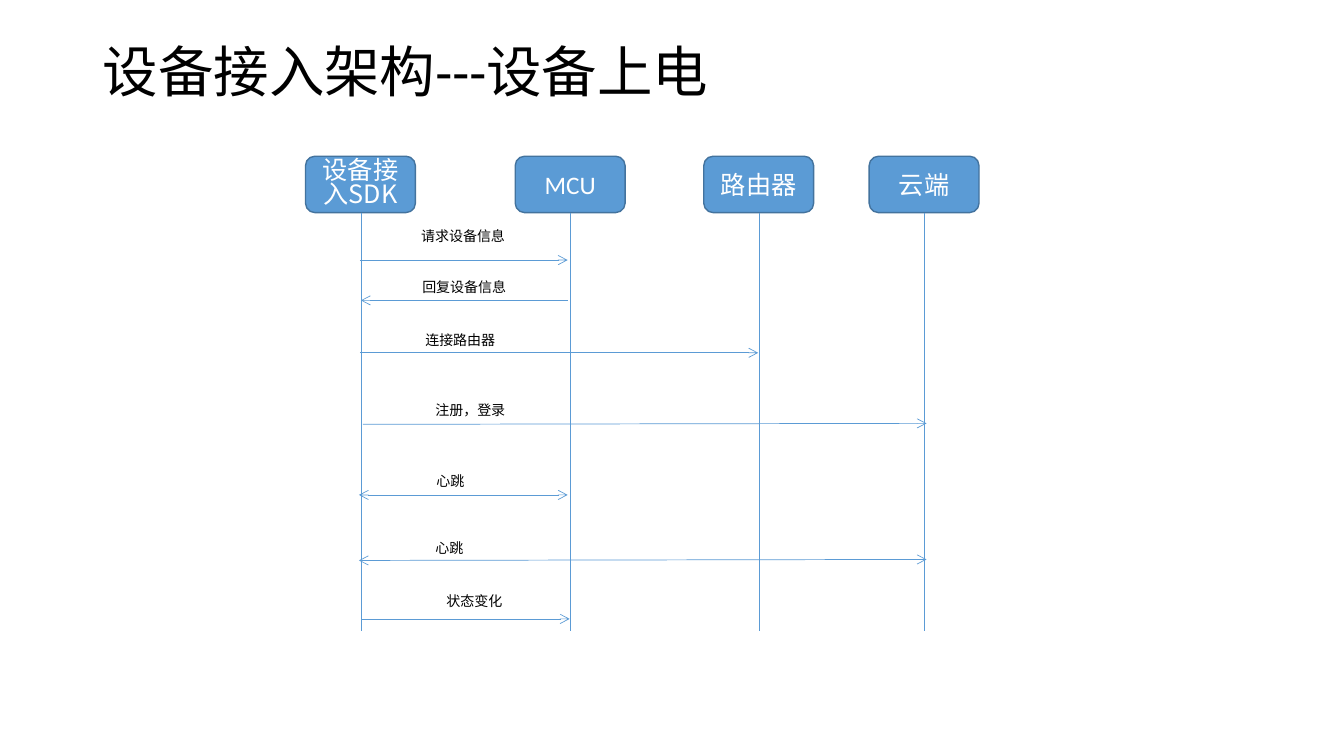
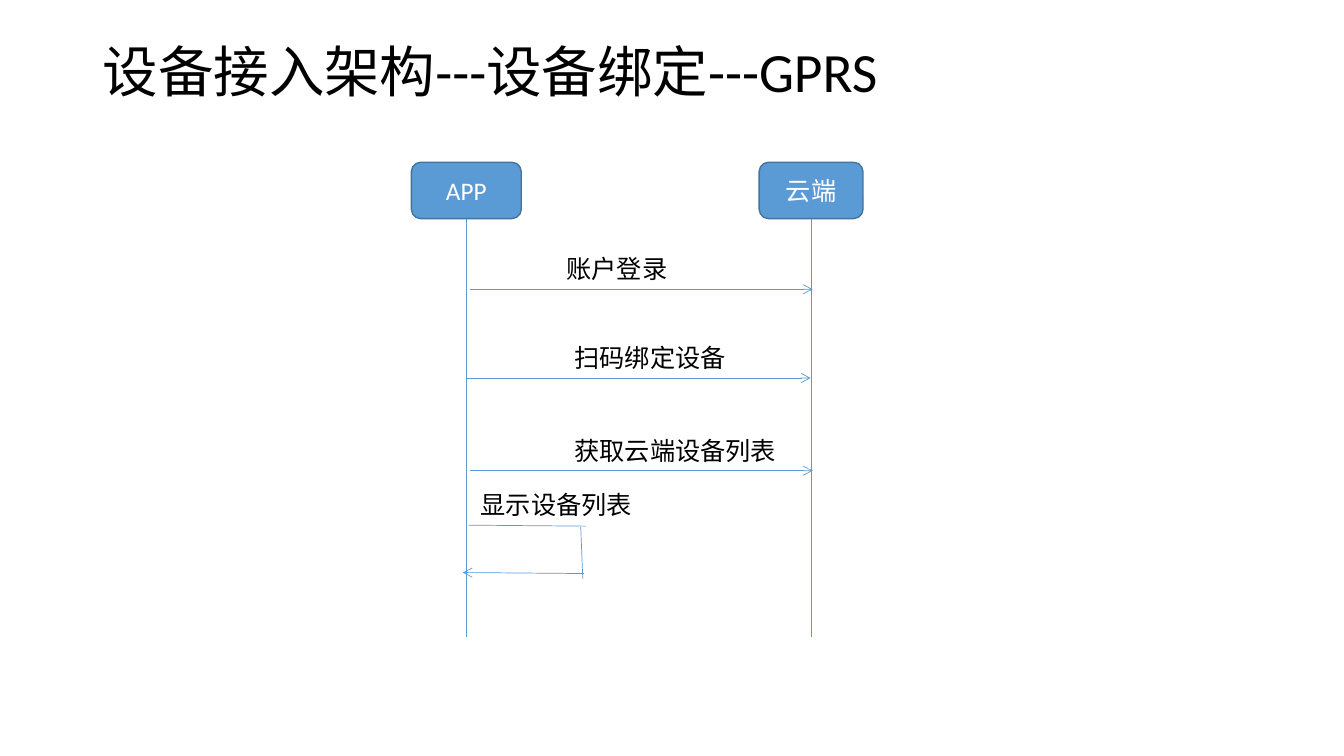
from dataclasses import dataclass

import pptx
import pptx.dml.color
import pptx.enum.shapes
import pptx.enum.text
import pptx.oxml.ns
import pptx.oxml.xmlchemy
import pptx.util
from lxml import etree

PX = 9144  # EMU: 100 px to the inch
BLACK = pptx.dml.color.RGBColor(0x00, 0x00, 0x00)
WHITE = pptx.dml.color.RGBColor(0xFF, 0xFF, 0xFF)
BLUE = pptx.dml.color.RGBColor(0x5B, 0x9B, 0xD5)
DARK_BLUE = pptx.dml.color.RGBColor(0x43, 0x73, 0x9E)
LATIN, CJK = "Calibri", "Noto Sans CJK SC"
BOX_HEIGHT = 56
LIFELINE_LENGTH = 415
INSET = 10
qn = pptx.oxml.ns.qn


@dataclass(frozen=True)
class Actor:
    name: str
    left: int
    width: int = 109
    font: str = LATIN
    spacing: float = 1.0


@dataclass(frozen=True)
class Arrow:
    x1: int
    y1: int
    x2: int
    y2: int
    head: bool = False
    tail: bool = True


@dataclass(frozen=True)
class Label:
    text: str
    left: int
    top: int


@dataclass(frozen=True)
class Sequence:
    title: str
    top: int
    label_size: int
    label_height: int
    actors: list[Actor]
    arrows: list[Arrow]
    labels: list[Label]


POWER_ON = Sequence(
    "设备接入架构---设备上电", 155, 10, 27,
    [
        Actor("设备接入SDK", 303, font=CJK, spacing=0.8),
        Actor("MCU", 511),
        Actor("路由器", 698),
        Actor("云端", 862),
    ],
    [
        Arrow(357, 258, 563, 258),
        Arrow(563, 298, 358, 298),
        Arrow(357, 350, 752, 350),
        Arrow(360, 421, 919, 420),
        Arrow(356, 491, 563, 491, head=True),
        Arrow(356, 556, 919, 555, head=True),
        Arrow(359, 614, 565, 614),
    ],
    [
        Label("请求设备信息", 408, 221),
        Label("回复设备信息", 409, 271),
        Label("连接路由器", 412, 324),
        Label("注册，登录", 422, 393),
        Label("心跳", 423, 464),
        Label("心跳", 422, 530),
        Label("状态变化", 433, 583),
    ],
)

BINDING = Sequence(
    "设备接入架构---设备绑定---GPRS", 161, 18, 40,
    [Actor("APP", 408), Actor("云端", 753, width=103)],
    [
        Arrow(466, 287, 806, 287),
        Arrow(463, 375, 804, 375),
        Arrow(466, 467, 806, 467),
        Arrow(465, 521, 581, 522, tail=False),
        Arrow(576, 523, 578, 574, tail=False),
        Arrow(579, 569, 459, 568),
    ],
    [
        Label("账户登录", 552, 246),
        Label("扫码绑定设备", 560, 335),
        Label("获取云端设备列表", 560, 427),
        Label("显示设备列表", 467, 481),
    ],
)


def write(tf, text: str, size: float, color, font: str = LATIN, spacing: float = 1.0):
    """Fill the first paragraph of a text frame and return it."""
    p = tf.paragraphs[0]
    p.add_run().text = text
    p.line_spacing = spacing
    p.font.size = pptx.util.Pt(size)
    p.font.color.rgb = color
    p.font.name = font
    props = p._p.get_or_add_pPr().find(qn("a:defRPr"))
    etree.SubElement(props, qn("a:ea")).set("typeface", CJK)
    return p


def add_text_box(slide, left: int, top: int, width: int, height: int):
    return slide.shapes.add_textbox(left * PX, top * PX, width * PX, height * PX).text_frame


def add_title(slide, text: str) -> None:
    tf = add_text_box(slide, 92, 40, 1150, 68)
    tf.word_wrap = True
    tf.vertical_anchor = pptx.enum.text.MSO_ANCHOR.MIDDLE
    write(tf, text, 39.6, BLACK, spacing=0.9)


def add_label(slide, label: Label, size: int, height: int) -> None:
    width = round(len(label.text) * size * 100 / 72) + 2 * INSET
    tf = add_text_box(slide, label.left, label.top, width, height)
    tf.word_wrap = False
    tf.auto_size = pptx.enum.text.MSO_AUTO_SIZE.SHAPE_TO_FIT_TEXT
    write(tf, label.text, size, BLACK)


def add_line(slide, arrow: Arrow) -> None:
    ends = (arrow.x1, arrow.y1, arrow.x2, arrow.y2)
    cxn = slide.shapes.add_connector(
        pptx.enum.shapes.MSO_CONNECTOR.STRAIGHT, *(v * PX for v in ends))
    cxn.line.color.rgb = BLUE
    cxn.line.width = pptx.util.Pt(0.5)
    ln = cxn.line._get_or_add_ln()
    for tag, shown in (("a:headEnd", arrow.head), ("a:tailEnd", arrow.tail)):
        if shown:
            etree.SubElement(ln, qn(tag)).set("type", "arrow")
    etree.SubElement(cxn._element.spPr, qn("a:effectLst"))


def add_actor(slide, actor: Actor, top: int) -> None:
    """Draw a named box with its lifeline below."""
    sp = slide.shapes.add_shape(
        pptx.enum.shapes.MSO_SHAPE.ROUNDED_RECTANGLE,
        actor.left * PX, top * PX, actor.width * PX, BOX_HEIGHT * PX)
    sp.shadow.inherit = False
    sp.fill.solid()
    sp.fill.fore_color.rgb = BLUE
    sp.line.color.rgb = DARK_BLUE
    sp.line.width = pptx.util.Pt(1)
    tf = sp.text_frame
    tf.word_wrap = True
    tf.vertical_anchor = pptx.enum.text.MSO_ANCHOR.MIDDLE
    p = write(tf, actor.name, 18, WHITE, actor.font, actor.spacing)
    p.alignment = pptx.enum.text.PP_ALIGN.CENTER
    x, y = actor.left + (actor.width + 1) // 2, top + BOX_HEIGHT
    add_line(slide, Arrow(x, y, x, y + LIFELINE_LENGTH, tail=False))


def add_sequence(prs, seq: Sequence) -> None:
    slide = prs.slides.add_slide(prs.slide_layouts[6])
    add_title(slide, seq.title)
    for actor in seq.actors:
        add_actor(slide, actor, seq.top)
    for arrow in seq.arrows:
        add_line(slide, arrow)
    for label in seq.labels:
        add_label(slide, label, seq.label_size, seq.label_height)


def main() -> None:
    prs = pptx.Presentation()
    prs.slide_width, prs.slide_height = 1333 * PX, 750 * PX
    for seq in (POWER_ON, BINDING):
        add_sequence(prs, seq)
    prs.save("out.pptx")


if __name__ == "__main__":
    main()
